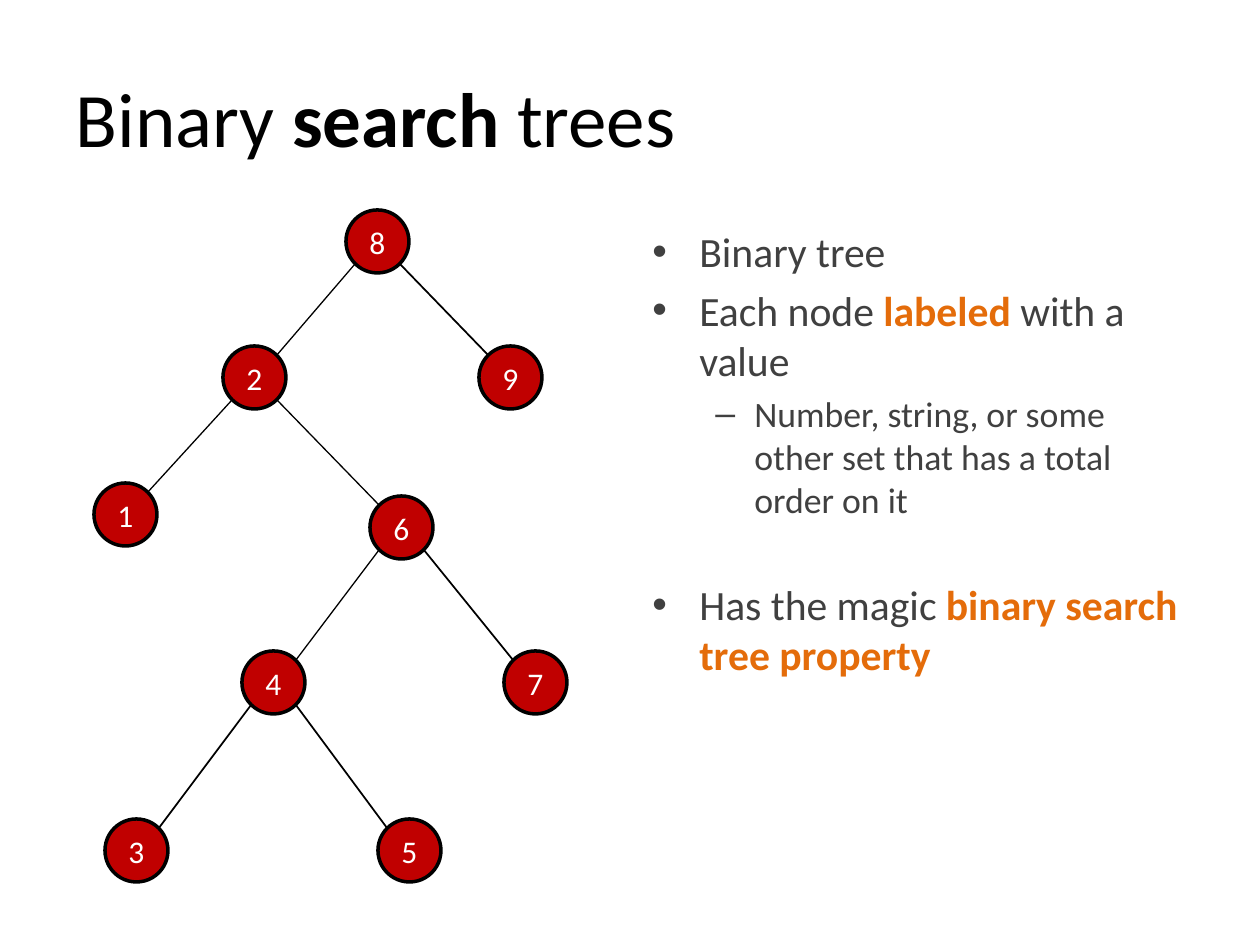
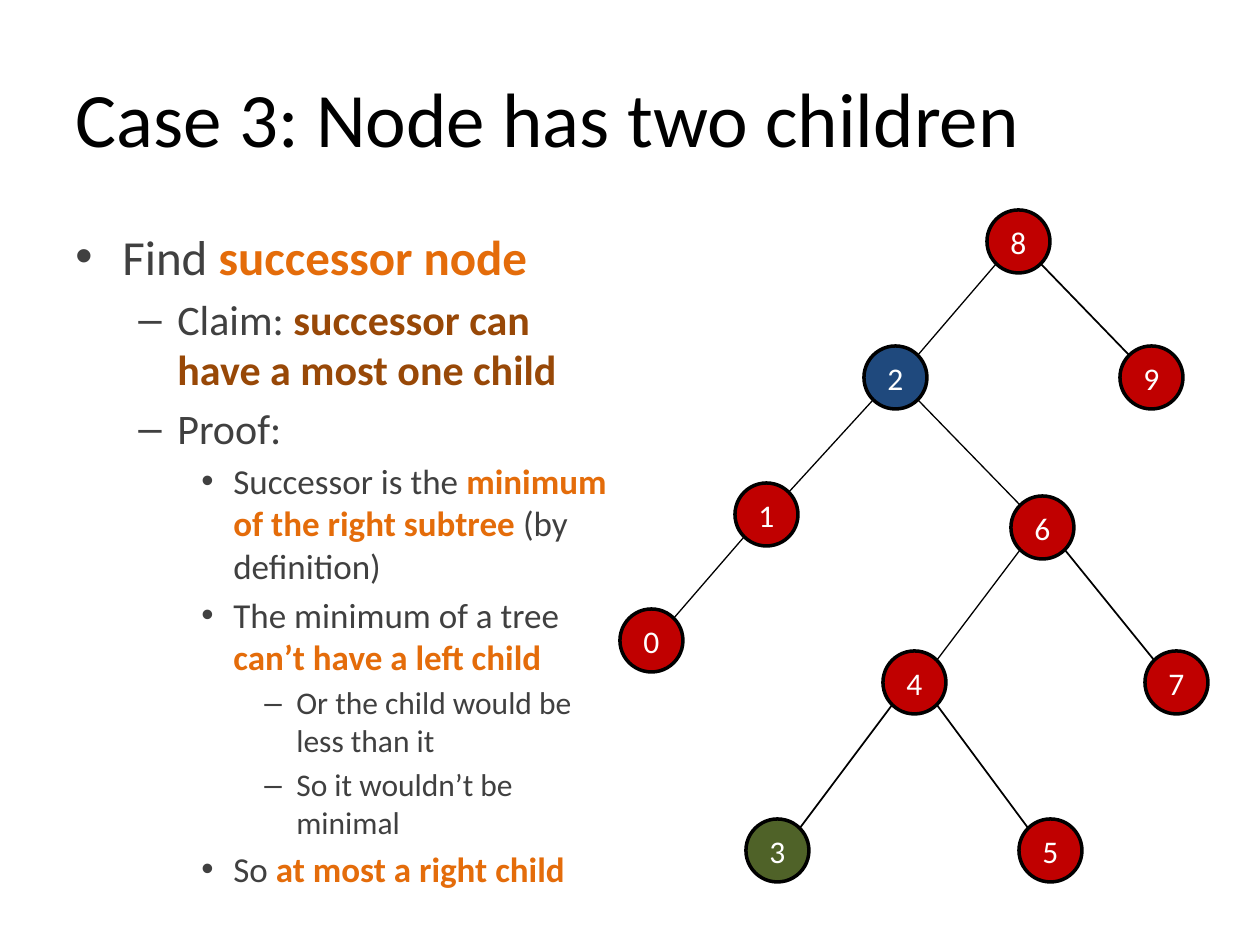
from math import sqrt

from lxml import etree
from pptx import Presentation
from pptx import util as u
from pptx.dml.color import RGBColor
from pptx.enum import shapes, text
from pptx.oxml.ns import qn

PIXEL = u.Inches(1) / 126
FONT = "Calibri"
BLACK, WHITE, GREY = "000000", "FFFFFF", "404040"
ORANGE, BROWN = "E46C0A", "984807"
RED, BLUE, GREEN = "C00000", "1F497D", "4F6228"

TITLE_BOX = (63, 38, 1134, 157)
TITLE_SIZE, LABEL_SIZE = 44, 18
NODE = 63  # diameter of a tree node
INSET = NODE / 2 * (1 - 1 / sqrt(2))  # from the node's frame to its diagonal points

# One row per bullet level: left margin, hanging indent, bullet
LEVELS = [(47, 47, "•"), (102, 39, "–"), (158, 32, "•"), (221, 32, "–")]

# Top left corner of each node's frame, relative to the tree
NODES = {8: (346, 210), 2: (223, 346), 9: (479, 346), 1: (94, 483), 6: (370, 496),
         4: (242, 651), 7: (504, 651), 3: (105, 819), 5: (378, 819)}
# Parent, child, line width
EDGES = [(8, 2, 0.75), (8, 9, 1), (2, 1, 0.75), (2, 6, 0.75),
         (6, 4, 0.75), (6, 7, 1), (4, 3, 1), (4, 5, 1)]

# A run is (text, colour); a coloured run is bold, None is the plain colour.
# A paragraph is (level, size, space before, runs).
SLIDES = [
    {
        "title": [("Binary ", None), ("search ", BLACK), ("trees", None)],
        "body_box": (640, 220, 557, 400),
        "body": [
            (0, 23.8, 4.8, [("Binary tree", None)]),
            (0, 23.8, 4.8, [("Each node ", None), ("labeled ", ORANGE),
                            ("with a value", None)]),
            (1, 20.4, 4.1, [("Number, string, or some other set that has "
                             "a total order on it", None)]),
            (0, 23.8, 33.5, [("Has the magic ", None),
                             ("binary search tree property", ORANGE)]),
        ],
        "tree_left": 0, "nodes": NODES, "edges": EDGES, "fills": {},
    },
    {
        "title": [("Case 3: Node has two children", None)],
        "body_box": (63, 220, 557, 704),
        "body": [
            (0, 28, 5.6, [("Find ", None), ("successor node", ORANGE)]),
            (1, 24, 4.8, [("Claim: ", None),
                          ("successor can have a most one child", BROWN)]),
            (1, 24, 4.8, [("Proof:", None)]),
            (2, 20, 4, [("Successor is the ", None),
                        ("minimum of the right subtree ", ORANGE),
                        ("(by definition)", None)]),
            (2, 20, 4, [("The minimum of a tree ", None),
                        ("can’t have a left child", ORANGE)]),
            (3, 18, 3.6, [("Or the child would be less than it", None)]),
            (3, 18, 3.6, [("So it wouldn’t be minimal", None)]),
            (2, 20, 4, [("So ", None), ("at most a right child", ORANGE)]),
        ],
        "tree_left": 641, "nodes": {**NODES, 0: (-21, 609)},
        "edges": EDGES + [(1, 0, 0.75)], "fills": {2: BLUE, 3: GREEN},
    },
]


def px(*lengths):
    """Turn pixels into a list of EMU lengths."""
    return [u.Emu(round(length * PIXEL)) for length in lengths]


def color(value):
    """Turn a hex string into a colour."""
    return RGBColor.from_string(value)


def add_runs(paragraph, runs, size, plain):
    """Write runs into a paragraph; those with a colour of their own are bold."""
    for words, accent in runs:
        run = paragraph.add_run()
        run.text = words
        run.font.name, run.font.size = FONT, u.Pt(size)
        run.font.bold = accent is not None
        run.font.color.rgb = color(accent or plain)


def add_title(slide, runs):
    """Place and fill the title placeholder."""
    title = slide.shapes.title
    title.left, title.top, title.width, title.height = px(*TITLE_BOX)
    title.text_frame.vertical_anchor = text.MSO_ANCHOR.MIDDLE
    paragraph = title.text_frame.paragraphs[0]
    paragraph.alignment = text.PP_ALIGN.LEFT
    add_runs(paragraph, runs, TITLE_SIZE, BLACK)


def set_bullet(paragraph, level):
    """Give a paragraph the indent and bullet of its level."""
    margin, hanging, mark = LEVELS[level]
    paragraph.level = level
    properties = paragraph._p.get_or_add_pPr()
    properties.set("marL", str(px(margin)[0]))
    properties.set("indent", str(px(-hanging)[0]))
    etree.SubElement(properties, qn("a:buFont")).set("typeface", "Arial")
    etree.SubElement(properties, qn("a:buChar")).set("char", mark)


def add_body(slide, box, paragraphs):
    """Add the bulleted text."""
    frame = slide.shapes.add_textbox(*px(*box)).text_frame
    frame.word_wrap = True
    for index, (level, size, space, runs) in enumerate(paragraphs):
        paragraph = frame.add_paragraph() if index else frame.paragraphs[0]
        paragraph.space_before = u.Pt(space)
        set_bullet(paragraph, level)
        add_runs(paragraph, runs, size, GREY)


def add_edge(slide, parent, child, width):
    """Join the lower diagonal point of a parent to the upper one of its child."""
    near, far = INSET, NODE - INSET
    start, end = (near, far) if child[0] < parent[0] else (far, near)
    edge = slide.shapes.add_connector(
        shapes.MSO_CONNECTOR.STRAIGHT,
        *px(parent[0] + start, parent[1] + far, child[0] + end, child[1] + near))
    edge.line.color.rgb = color(BLACK)
    edge.line.width = u.Pt(width)
    etree.SubElement(edge._element.spPr, qn("a:effectLst"))


def add_node(slide, label, corner, fill):
    """Add a round tree node with its label."""
    node = slide.shapes.add_shape(shapes.MSO_SHAPE.OVAL, *px(*corner, NODE, NODE))
    node.shadow.inherit = False
    node.fill.solid()
    node.fill.fore_color.rgb = color(fill)
    node.line.color.rgb = color(BLACK)
    node.line.width = u.Pt(2)
    node.text_frame.vertical_anchor = text.MSO_ANCHOR.MIDDLE
    paragraph = node.text_frame.paragraphs[0]
    paragraph.alignment = text.PP_ALIGN.CENTER
    add_runs(paragraph, [(str(label), None)], LABEL_SIZE, WHITE)


def add_tree(slide, left, nodes, edges, fills):
    """Draw the tree's edges, then its nodes."""
    corners = {label: (left + x, y) for label, (x, y) in nodes.items()}
    for parent, child, width in edges:
        add_edge(slide, corners[parent], corners[child], width)
    for label, corner in corners.items():
        add_node(slide, label, corner, fills.get(label, RED))


presentation = Presentation()
presentation.slide_width, presentation.slide_height = px(1260, 945)
title_only = presentation.slide_layouts.get_by_name("Title Only")
for content in SLIDES:
    slide = presentation.slides.add_slide(title_only)
    add_title(slide, content["title"])
    add_body(slide, content["body_box"], content["body"])
    add_tree(slide, content["tree_left"], content["nodes"],
             content["edges"], content["fills"])
presentation.save("out.pptx")
